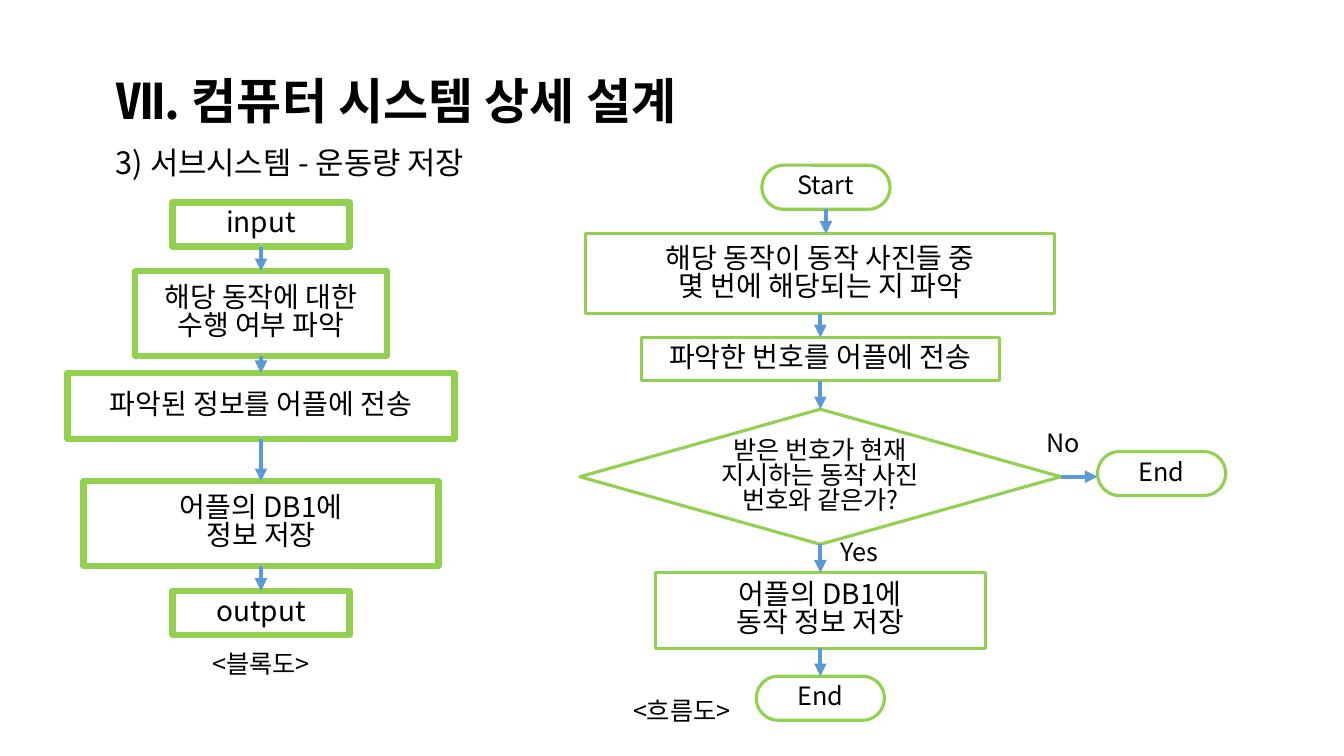
import pptx
import pptx.util
import pptx.dml.color
import pptx.enum.shapes
import pptx.enum.text
import pptx.oxml.ns
import lxml.etree

Pt = pptx.util.Pt
SHAPE = pptx.enum.shapes.MSO_SHAPE
FONT = "Noto Sans CJK KR"
GREEN, BLUE, BLACK, WHITE = "92D050", "5B9BD5", "000000", "FFFFFF"


def color(hex_value):
    return pptx.dml.color.RGBColor.from_string(hex_value)


def add_child(parent, tag, **attrs):
    return lxml.etree.SubElement(parent, pptx.oxml.ns.qn(tag), attrs)


def write(tf, text, size=20, bold=False, center=True, middle=False):
    tf.word_wrap = True
    anchor = pptx.enum.text.MSO_ANCHOR
    tf.vertical_anchor = anchor.MIDDLE if middle else anchor.TOP
    align = pptx.enum.text.PP_ALIGN
    for i, line in enumerate(text.split("\n")):
        p = tf.add_paragraph() if i else tf.paragraphs[0]
        p.alignment = align.CENTER if center else align.LEFT
        p.line_spacing = 0.83
        r = p.add_run()
        r.text = line
        r.font.name = FONT
        r.font.size = Pt(size)
        r.font.bold = bold
        r.font.color.rgb = color(BLACK)
        add_child(r.font._element, "a:ea", typeface=FONT)


def add_text(s, x, y, w, h, text, **style):
    sp = s.shapes.add_textbox(Pt(x), Pt(y), Pt(w), Pt(h))
    write(sp.text_frame, text, **style)


def add_node(s, kind, x, y, w, h, text, line, size=20, fill=None):
    sp = s.shapes.add_shape(kind, Pt(x), Pt(y), Pt(w), Pt(h))
    sp.shadow.inherit = False
    if kind == SHAPE.ROUNDED_RECTANGLE:
        sp.adjustments[0] = 0.5
    if fill:
        sp.fill.solid()
        sp.fill.fore_color.rgb = color(fill)
    else:
        sp.fill.background()
    sp.line.color.rgb = color(GREEN)
    sp.line.width = Pt(line)
    write(sp.text_frame, text, size=size, middle=True)


def add_arrow(s, x1, y1, x2, y2):
    straight = pptx.enum.shapes.MSO_CONNECTOR.STRAIGHT
    sp = s.shapes.add_connector(straight, Pt(x1), Pt(y1), Pt(x2), Pt(y2))
    sp.line.color.rgb = color(BLUE)
    sp.line.width = Pt(3)
    add_child(sp.line._get_or_add_ln(), "a:tailEnd", type="triangle")
    add_child(sp._element.spPr, "a:effectLst")


def heading(s, x, y, w):
    add_text(s, x, y, w, 49.7, "Ⅶ. 컴퓨터 시스템 상세 설계", size=35, bold=True, center=False)
    add_text(s, x, y + 49.7, w, 34, "3) 서브시스템 - 운동량 저장", size=22, center=False)


def block_diagram(s, x, y, w, h):
    cx = x + w / 2
    blocks = [
        (0, 126.5, 31.5, "input"),
        (49, 180, 60.5, "해당 동작에 대한\n수행 여부 파악"),
        (121.8, 276.5, 47, "파악된 정보를 어플에 전송"),
        (199, 253.5, 60.5, "어플의 DB1에\n정보 저장"),
        (277.3, 126.5, 31.5, "output"),
    ]
    for top, bw, bh, text in blocks:
        add_node(s, SHAPE.RECTANGLE, cx - bw / 2, y + top, bw, bh, text, 4.5)
    for (top, _, bh, _), below in zip(blocks, blocks[1:]):
        add_arrow(s, cx, y + top + bh, cx, y + below[0])
    add_text(s, cx - 87.5, y + h - 29, 175, 29, "<블록도>", size=18)


def flow_chart(s, x, y, w, h):
    cx = x + 172
    pill, box, diamond = SHAPE.ROUNDED_RECTANGLE, SHAPE.RECTANGLE, SHAPE.FLOWCHART_DECISION
    pill_w, pill_h = 91.5, 31.5
    steps = [
        (pill, 4, 0, pill_w, pill_h, "Start", 18),
        (box, 0, 49, 335, 57, "해당 동작이 동작 사진들 중\n몇 번에 해당되는 지 파악", 20),
        (box, 0, 123, 255.5, 31, "파악한 번호를 어플에 전송", 20),
        (diamond, 0, 174.3, 343.5, 96.5, "받은 번호가 현재 지시하는 동작 사진 번호와 같은가?", 18),
        (box, 0, 291, 235.5, 54, "어플의 DB1에\n동작 정보 저장", 20),
        (pill, 0, 365, pill_w, pill_h, "End", 18),
    ]
    for kind, dx, top, sw, sh, text, size in steps:
        fill = WHITE if kind == box else None
        add_node(s, kind, cx + dx - sw / 2, y + top, sw, sh, text, 2.25, size, fill)
    for (_, dx, top, _, sh, _, _), below in zip(steps, steps[1:]):
        add_arrow(s, cx + dx, y + top + sh, cx + dx, y + below[2])
    end_x = x + w - pill_w
    add_node(s, pill, end_x, y + 204.5, pill_w, pill_h, "End", 2.25, 18)
    add_arrow(s, cx + 171.75, y + 222.5, end_x, y + 222.5)
    add_text(s, cx, y + 265, 55.5, 29.5, "Yes", size=18)
    add_text(s, cx + 142.5, y + 187.3, 62, 29, "No", size=18)
    add_text(s, x + 6.5, y + h - 29, 133, 29, "<흐름도>", size=18)


prs = pptx.Presentation()
prs.slide_width, prs.slide_height = Pt(960), Pt(540)
s = prs.slides.add_slide(prs.slide_layouts[6])
heading(s, 75.6, 54, 823.7)
block_diagram(s, 48.2, 144.7, 276.5, 347.3)
flow_chart(s, 414, 118, 461.5, 407.8)
prs.save("out.pptx")
